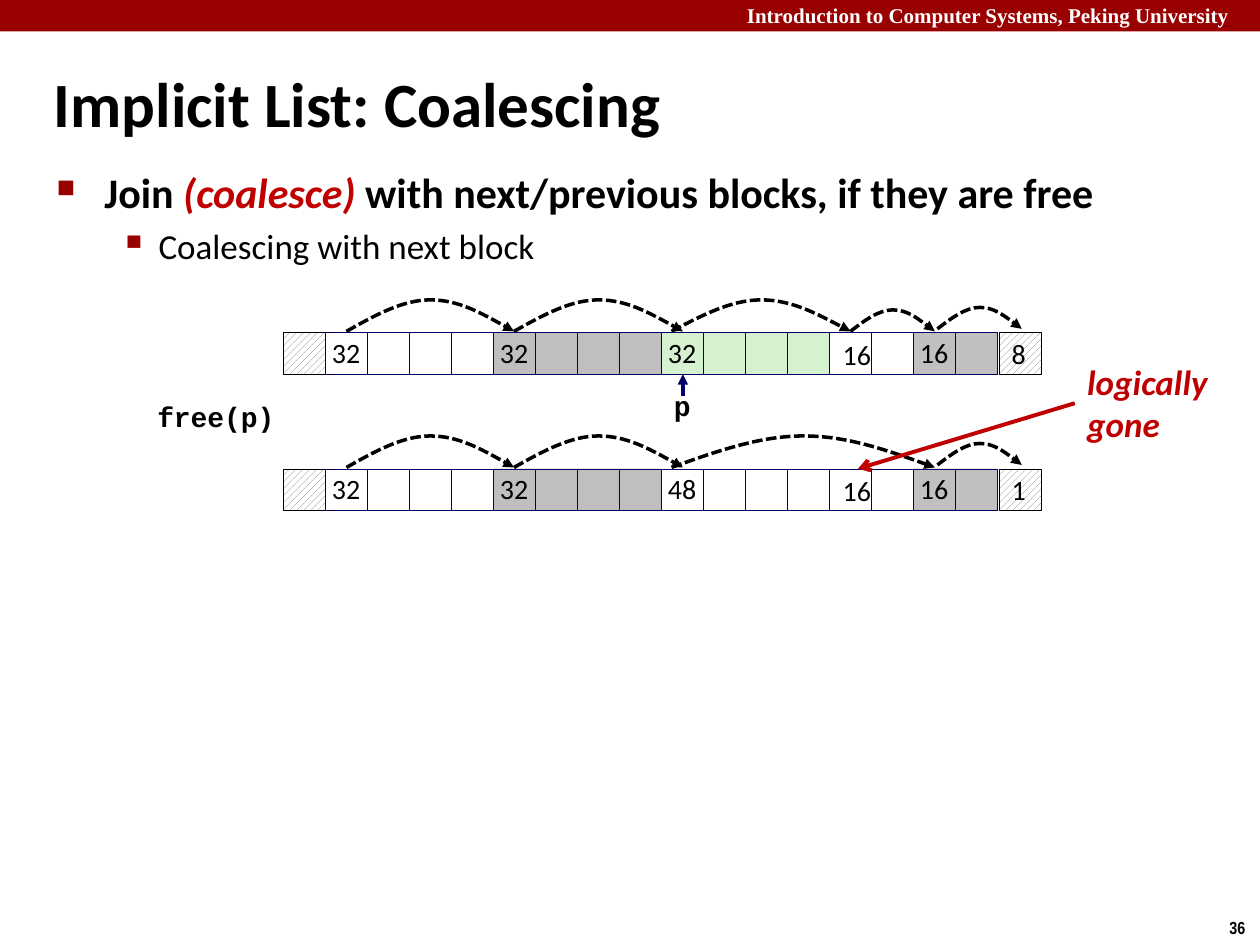
import dataclasses

import lxml.etree
import pptx
import pptx.dml.color
import pptx.enum.dml
import pptx.enum.shapes
import pptx.enum.text
import pptx.oxml.ns
import pptx.util

Inches = pptx.util.Inches
Pt = pptx.util.Pt
qn = pptx.oxml.ns.qn
Align = pptx.enum.text.PP_ALIGN
Anchor = pptx.enum.text.MSO_ANCHOR


@dataclasses.dataclass(frozen=True)
class Theme:
    banner: str = "990000"
    accent: str = "C00000"
    ink: str = "000000"
    navy: str = "000066"
    white: str = "FFFFFF"
    allocated: str = "BFBFBF"
    next_allocated: str = "C0C0C0"
    freed: str = "D5F1CF"
    hatch: str = "808080"
    font: str = "Calibri"
    code_font: str = "Courier New"
    header_font: str = "Times New Roman"
    number_font: str = "Arial Narrow"
    title_size: float = 36
    point_size: float = 24
    detail_size: float = 20
    label_size: float = 16
    header_size: float = 12
    number_size: float = 10


class SlideBuilder:
    def __init__(self, slide, theme):
        self.slide = slide
        self.theme = theme

    def color(self, value):
        return pptx.dml.color.RGBColor.from_string(value)

    def style_run(self, run, size, color=None, font=None, bold=False, italic=False):
        run.font.name = font or self.theme.font
        run.font.size = Pt(size)
        run.font.bold = bold
        run.font.italic = italic
        run.font.color.rgb = self.color(color or self.theme.ink)

    def text(self, left, top, width, height, words, size, anchor=Anchor.TOP,
             wrap=False, spacing=None, **style):
        box = self.slide.shapes.add_textbox(
            Inches(left), Inches(top), Inches(width), Inches(height))
        frame = box.text_frame
        frame.word_wrap = wrap
        frame.vertical_anchor = anchor
        frame.text = words
        for paragraph in frame.paragraphs:
            paragraph.line_spacing = spacing
            for run in paragraph.runs:
                self.style_run(run, size, **style)
        return frame

    def bullet(self, paragraph, symbol, percent, margin, indent, spacing, runs):
        properties = paragraph._p.get_or_add_pPr()
        properties.set("marL", str(Inches(margin)))
        properties.set("indent", str(Inches(-indent)))
        color = lxml.etree.SubElement(properties, qn("a:buClr"))
        lxml.etree.SubElement(color, qn("a:srgbClr"), val=self.theme.banner)
        lxml.etree.SubElement(properties, qn("a:buSzPct"), val=str(percent * 1000))
        lxml.etree.SubElement(properties, qn("a:buChar"), char=symbol)
        paragraph.line_spacing = spacing
        for words, size, style in runs:
            run = paragraph.add_run()
            run.text = words
            self.style_run(run, size, **style)

    def rectangle(self, left, top, width, height, fill, line=None):
        shape = self.slide.shapes.add_shape(
            pptx.enum.shapes.MSO_SHAPE.RECTANGLE,
            Inches(left), Inches(top), Inches(width), Inches(height))
        shape.shadow.inherit = False
        shape.fill.solid()
        shape.fill.fore_color.rgb = self.color(fill)
        if line:
            shape.line.color.rgb = self.color(line)
            shape.line.width = Pt(0.25)
        else:
            shape.line.fill.background()
        return shape

    def cell(self, left, top, fill, label="", hatched=False):
        line = self.theme.ink if hatched else self.theme.navy
        shape = self.rectangle(left, top, CELL, CELL, fill, line)
        if hatched:
            shape.fill.patterned()
            shape.fill.pattern = pptx.enum.dml.MSO_PATTERN.WIDE_UPWARD_DIAGONAL
            shape.fill.fore_color.rgb = self.color(self.theme.hatch)
            shape.fill.back_color.rgb = self.color(fill)
        if label:
            frame = shape.text_frame
            frame.word_wrap = False
            frame.vertical_anchor = Anchor.MIDDLE
            frame.text = label
            paragraph = frame.paragraphs[0]
            paragraph.alignment = Align.LEFT if hatched else Align.CENTER
            paragraph.line_spacing = 1.0 if hatched else 0.98
            self.style_run(paragraph.runs[0], self.theme.label_size)

    def stroke(self, shape, color, width, head):
        shape.line.color.rgb = self.color(color)
        shape.line.width = Pt(width)
        outline = shape._element.spPr.find(qn("a:ln"))
        lxml.etree.SubElement(outline, qn("a:tailEnd"), type=head)

    def arrow(self, start, end, color, width, head):
        line = self.slide.shapes.add_connector(
            pptx.enum.shapes.MSO_CONNECTOR.STRAIGHT,
            *(Inches(value) for value in (*start, *end)))
        self.stroke(line, color, width, head)
        lxml.etree.SubElement(line._element.spPr, qn("a:effectLst"))

    def arc(self, start, end, base, height):
        span = end - start
        rises = ((1, 0.5), (2, 1), (3, 1), (4, 1), (5, 0.5), (6, 0))
        points = [(Inches(start + span * step / 6), Inches(base - height * rise))
                  for step, rise in rises]
        builder = self.slide.shapes.build_freeform(Inches(start), Inches(base))
        builder.add_line_segments(points, close=False)
        hop = builder.convert_to_shape()
        hop.shadow.inherit = False
        hop.fill.background()
        hop.line.dash_style = pptx.enum.dml.MSO_LINE.SQUARE_DOT
        self.stroke(hop, self.theme.ink, 2, "triangle")
        outline = next(hop._element.iter(qn("a:path")))
        segments = outline.findall(qn("a:lnTo"))
        for first in range(0, len(segments), 3):
            curve = lxml.etree.SubElement(outline, qn("a:cubicBezTo"))
            for segment in segments[first:first + 3]:
                curve.append(segment[0])
                outline.remove(segment)

    def heap(self, top, blocks, tail_label, hops):
        self.cell(HEAP_LEFT - CELL, top, self.theme.white, hatched=True)
        index = 0
        for label, count, fill in blocks:
            for position in range(count):
                self.cell(HEAP_LEFT + index * CELL, top, fill,
                          label if position == 0 else "")
                index += 1
        self.text(6.59, top, 0.43, 0.37, "16", self.theme.label_size, spacing=0.98)
        self.cell(7.93, top, self.theme.white, tail_label, hatched=True)
        for start, end, height in hops:
            self.arc(start, end, top - 0.01, height)
        self.arc(7.44, 8.11, top - 0.03, 0.17)


CELL = 1 / 3
HEAP_LEFT = 2.58


def main():
    deck = pptx.Presentation()
    deck.slide_width = Inches(10)
    deck.slide_height = Inches(7.5)
    theme = Theme()
    page = SlideBuilder(deck.slides.add_slide(deck.slide_layouts[6]), theme)

    page.rectangle(0, 0, 10, 0.25, theme.banner)
    page.text(5.83, -0.03, 4.24, 0.3, "Introduction to Computer Systems, Peking University",
              theme.header_size, wrap=True, color=theme.white,
              font=theme.header_font, bold=True)
    page.text(9.66, 7.23, 0.34, 0.27, "36", theme.number_size,
              font=theme.number_font, bold=True)
    page.text(0.33, 0.5, 7.4, 0.63, "Implicit List: Coalescing", theme.title_size,
              anchor=Anchor.MIDDLE, wrap=True, bold=True)

    body = page.text(0.35, 1.34, 9.09, 6, "", theme.point_size, wrap=True)
    page.bullet(body.paragraphs[0], "■", 60, 0.38, 0.38, 0.83, [
        ("Join ", theme.point_size, {"bold": True}),
        ("(coalesce) ", theme.point_size,
         {"bold": True, "italic": True, "color": theme.accent}),
        ("with next/previous blocks, if they are free", theme.point_size, {"bold": True}),
    ])
    detail = body.add_paragraph()
    detail.level = 1
    page.bullet(detail, "▪", 110, 0.81, 0.31, 0.88,
                [("Coalescing with next block", theme.detail_size, {})])
    detail.space_before = Pt(7.5)

    before, after = 2.64, 3.72
    leading = [("32", 4, theme.white), ("32", 4, theme.allocated)]
    trailing = [("", 2, theme.white), ("16", 2, theme.next_allocated)]
    shared_hops = [(2.75, 4.08, 0.25), (4.08, 5.42, 0.25)]
    page.heap(before, leading + [("32", 4, theme.freed)] + trailing, "8",
              shared_hops + [(5.33, 6.75, 0.25), (6.75, 7.42, 0.17)])
    page.heap(after, leading + [("48", 4, theme.white)] + trailing, "1",
              shared_hops + [(5.33, 7.42, 0.25)])

    for left, width, top, code in ((1.15, 1.14, 3.14, "free(p)"), (5.25, 0.33, 3.06, "p")):
        page.text(left, top, width, 0.36, code, theme.label_size, spacing=0.94,
                  font=theme.code_font, bold=True)
    page.arrow((5.42, 3.14), (5.42, 2.97), theme.navy, 2, "triangle")
    page.text(8.53, 2.81, 1.16, 0.77, "logically\ngone", theme.detail_size,
              color=theme.accent, bold=True, italic=True)
    page.arrow((8.53, 3.2), (6.81, after), theme.accent, 2.25, "arrow")

    deck.save("out.pptx")


if __name__ == "__main__":
    main()
